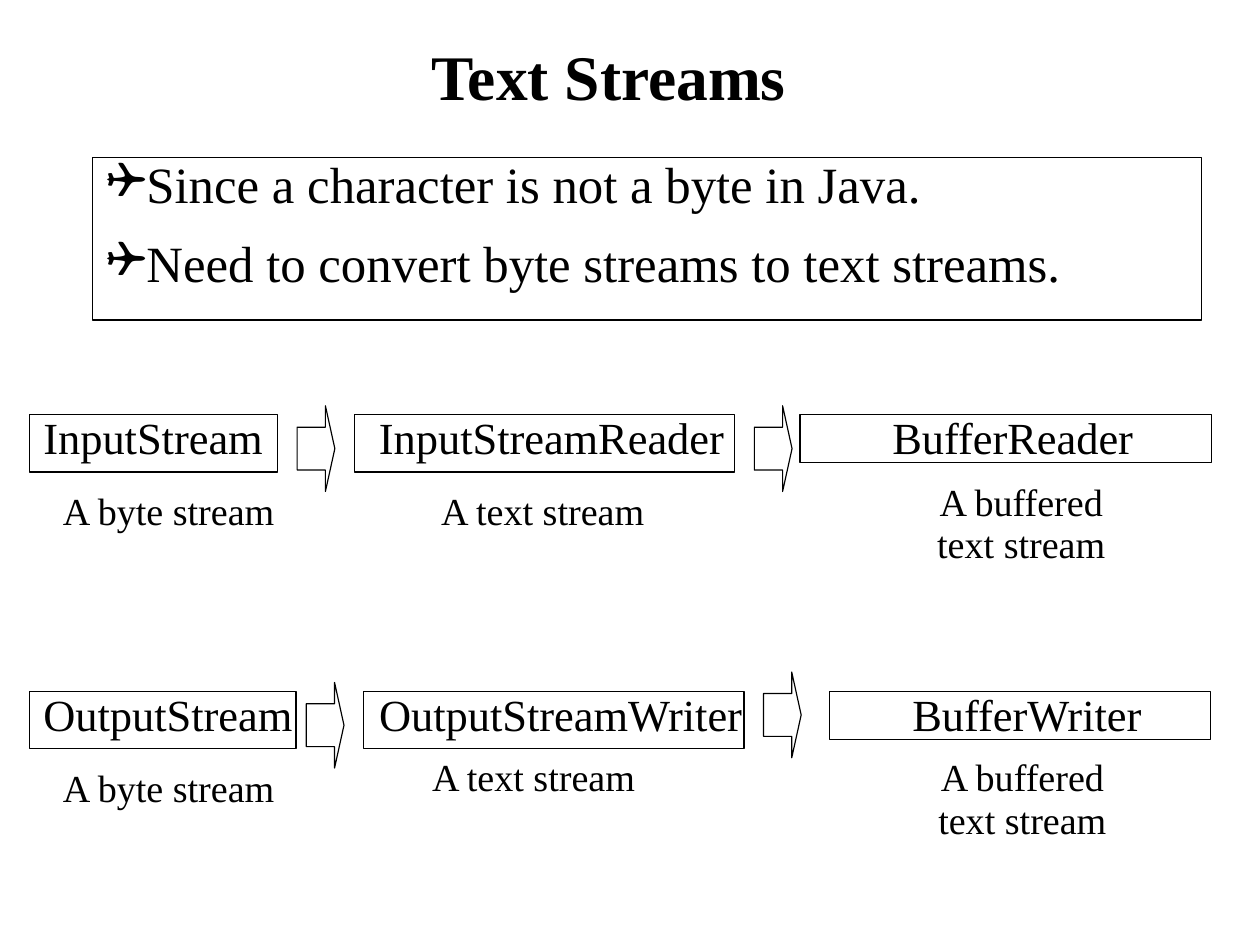
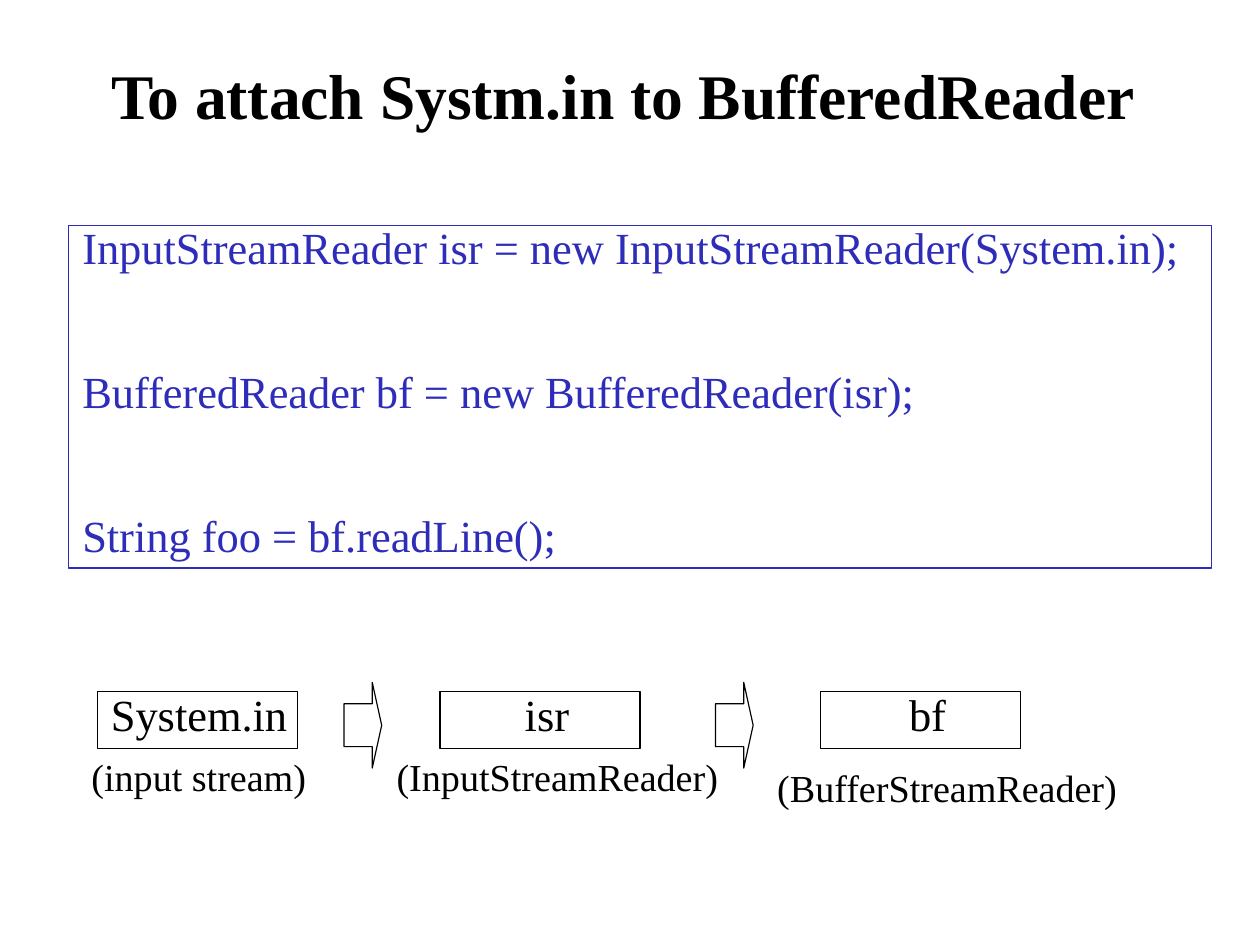
from dataclasses import dataclass

from pptx import Presentation
from pptx import util as u
from pptx.dml.color import RGBColor
from pptx.enum import shapes, text
from pptx.oxml.ns import qn
from lxml import etree

# Shared style
PAGE_WIDTH, PAGE_HEIGHT = u.Cm(28), u.Cm(21)
FONT, BULLET_FONT = "Times New Roman", "Wingdings"
BLACK, BLUE = "000000", "2D2DB9"
TITLE_SIZE, BULLET_SIZE, BOX_SIZE, CAPTION_SIZE = 40, 32, 28, 24
LINE_SPACING = 0.93
LEFT_MARGIN, HANGING = 0.47, -0.35
LEFT, CENTER = text.PP_ALIGN.LEFT, text.PP_ALIGN.CENTER


@dataclass
class Area:
    left: float
    top: float
    width: float
    height: float

    def lengths(self) -> list:
        return [u.Inches(v) for v in (self.left, self.top, self.width, self.height)]


@dataclass
class Style:
    size: int
    color: str = BLACK
    bold: bool = False
    align: text.PP_ALIGN = LEFT
    space_before: float = 0
    bullet: str = ""
    indented: bool = True
    anchor: text.MSO_ANCHOR = text.MSO_ANCHOR.TOP


@dataclass
class Stage:
    """A box with a caption; drops are measured from the top of the row."""
    name: str
    left: float
    width: float
    caption: str
    caption_left: float
    caption_width: float
    caption_drop: float
    height: float = 0.5
    align: text.PP_ALIGN = CENTER
    caption_align: text.PP_ALIGN = LEFT
    caption_height: float = 0.42


@dataclass
class Arrow:
    left: float
    drop: float = -0.08


@dataclass
class Flow:
    top: float
    stages: list[Stage]
    arrows: list[Arrow]


def rgb(color: str) -> RGBColor:
    return RGBColor.from_string(color)


# Text
def add_bullet(properties, style: Style) -> None:
    color = etree.SubElement(properties, qn("a:buClr"))
    etree.SubElement(color, qn("a:srgbClr"), val=style.color)
    etree.SubElement(properties, qn("a:buFont"), typeface=BULLET_FONT)
    etree.SubElement(properties, qn("a:buChar"), char=style.bullet)


def write(shape, lines: list[str], style: Style) -> None:
    frame = shape.text_frame
    frame_format = {"word_wrap": True, "vertical_anchor": style.anchor,
                    "margin_left": 0, "margin_top": 0,
                    "margin_right": 0, "margin_bottom": 0}
    for name, value in frame_format.items():
        setattr(frame, name, value)
    for number, line in enumerate(lines):
        paragraph = frame.add_paragraph() if number else frame.paragraphs[0]
        properties = paragraph._p.get_or_add_pPr()
        if style.indented:
            properties.set("marL", str(u.Inches(LEFT_MARGIN)))
            properties.set("indent", str(u.Inches(HANGING)))
        if style.bullet:
            add_bullet(properties, style)
        paragraph.text = line
        paragraph.alignment = style.align
        paragraph.line_spacing = LINE_SPACING
        if number and style.space_before:
            paragraph.space_before = u.Pt(style.space_before)
        font_format = {"name": FONT, "size": u.Pt(style.size), "bold": style.bold}
        for name, value in font_format.items():
            setattr(paragraph.font, name, value)
        paragraph.font.color.rgb = rgb(style.color)


def add_text(slide, area: Area, lines: list[str], style: Style) -> None:
    write(slide.shapes.add_textbox(*area.lengths()), lines, style)


def add_title(slide, area: Area, title: str) -> None:
    style = Style(TITLE_SIZE, bold=True, align=CENTER, indented=False,
                  anchor=text.MSO_ANCHOR.MIDDLE)
    add_text(slide, area, [title], style)


# Outlined shapes
def add_outline(slide, kind: shapes.MSO_SHAPE, area: Area, color: str = BLACK):
    shape = slide.shapes.add_shape(kind, *area.lengths())
    shape.shadow.inherit = False
    shape.fill.background()
    shape.line.color.rgb = rgb(color)
    shape.line.width = u.Pt(0.75)
    return shape


def add_box(slide, area: Area, lines: list[str], style: Style) -> None:
    box = add_outline(slide, shapes.MSO_SHAPE.RECTANGLE, area, style.color)
    write(box, lines, style)


def add_flow(slide, flow: Flow) -> None:
    for stage in flow.stages:
        add_box(slide, Area(stage.left, flow.top, stage.width, stage.height),
                [stage.name], Style(BOX_SIZE, align=stage.align))
        caption_area = Area(stage.caption_left, flow.top + stage.caption_drop,
                            stage.caption_width, stage.caption_height)
        add_text(slide, caption_area, stage.caption.split("\n"),
                 Style(CAPTION_SIZE, align=stage.caption_align))
    for arrow in flow.arrows:
        area = Area(arrow.left, flow.top + arrow.drop, 0.33, 0.75)
        shape = add_outline(slide, shapes.MSO_SHAPE.RIGHT_ARROW, area)
        shape.adjustments[0], shape.adjustments[1] = 0.5, 0.25


# Stages that both rows of the first slide share
def byte_stage(name: str, width: float) -> Stage:
    return Stage(name, 0.26, width, "A byte stream", 0.43, 2.08, 0.67,
                 align=LEFT, caption_height=0.33)


def text_stage(name: str, left: float, caption_left: float, drop: float) -> Stage:
    return Stage(name, left, 3.33, "A text stream", caption_left, 2.17, drop)


def buffer_stage(name: str, left: float, width: float, caption_left: float,
                 drop: float) -> Stage:
    return Stage(name, left, width, "A buffered\ntext stream", caption_left, 3.25,
                 drop, height=0.42, caption_align=CENTER, caption_height=0.92)


READER_FLOW = Flow(3.63, [
    byte_stage("InputStream", 2.17),
    text_stage("InputStreamReader", 3.1, 3.74, 0.67),
    buffer_stage("BufferReader", 7, 3.6, 7.25, 0.59),
], [Arrow(2.6), Arrow(6.6)])

WRITER_FLOW = Flow(6.05, [
    byte_stage("OutputStream", 2.33),
    text_stage("OutputStreamWriter", 3.18, 3.66, 0.58),
    buffer_stage("BufferWriter", 7.26, 3.33, 7.26, 0.58),
], [Arrow(2.68), Arrow(6.68, -0.17)])

ATTACH_FLOW = Flow(6.05, [
    Stage("System.in", 0.85, 1.75, "(input stream)", 0.68, 2, 0.58, align=LEFT),
    Stage("isr", 3.85, 1.75, "(InputStreamReader)", 3.35, 3, 0.58),
    Stage("bf", 7.18, 1.75, "(BufferStreamReader)", 6.68, 3.25, 0.67),
], [Arrow(3.01), Arrow(6.26)])


# Slides
def build_text_streams(slide) -> None:
    add_title(slide, Area(0.81, 0.22, 9.03, 0.95), "Text Streams")
    add_box(slide, Area(0.81, 1.38, 9.7, 1.42),
            ["Since a character is not a byte in Java.",
             "Need to convert byte streams to text streams."],
            Style(BULLET_SIZE, space_before=14.1, bullet="❑"))
    for flow in (READER_FLOW, WRITER_FLOW):
        add_flow(slide, flow)


def build_attach_reader(slide) -> None:
    add_title(slide, Area(0.81, 0.3, 9.28, 1.11), "To attach Systm.in to BufferedReader")
    add_box(slide, Area(0.6, 1.97, 10, 3),
            ["InputStreamReader isr = new InputStreamReader(System.in);",
             "BufferedReader bf = new BufferedReader(isr);",
             "String foo = bf.readLine();"],
            Style(BOX_SIZE, BLUE, space_before=59.2))
    add_flow(slide, ATTACH_FLOW)


def main() -> None:
    presentation = Presentation()
    presentation.slide_width = PAGE_WIDTH
    presentation.slide_height = PAGE_HEIGHT
    blank = presentation.slide_layouts[6]
    for build in (build_text_streams, build_attach_reader):
        build(presentation.slides.add_slide(blank))
    presentation.save("out.pptx")


if __name__ == "__main__":
    main()
